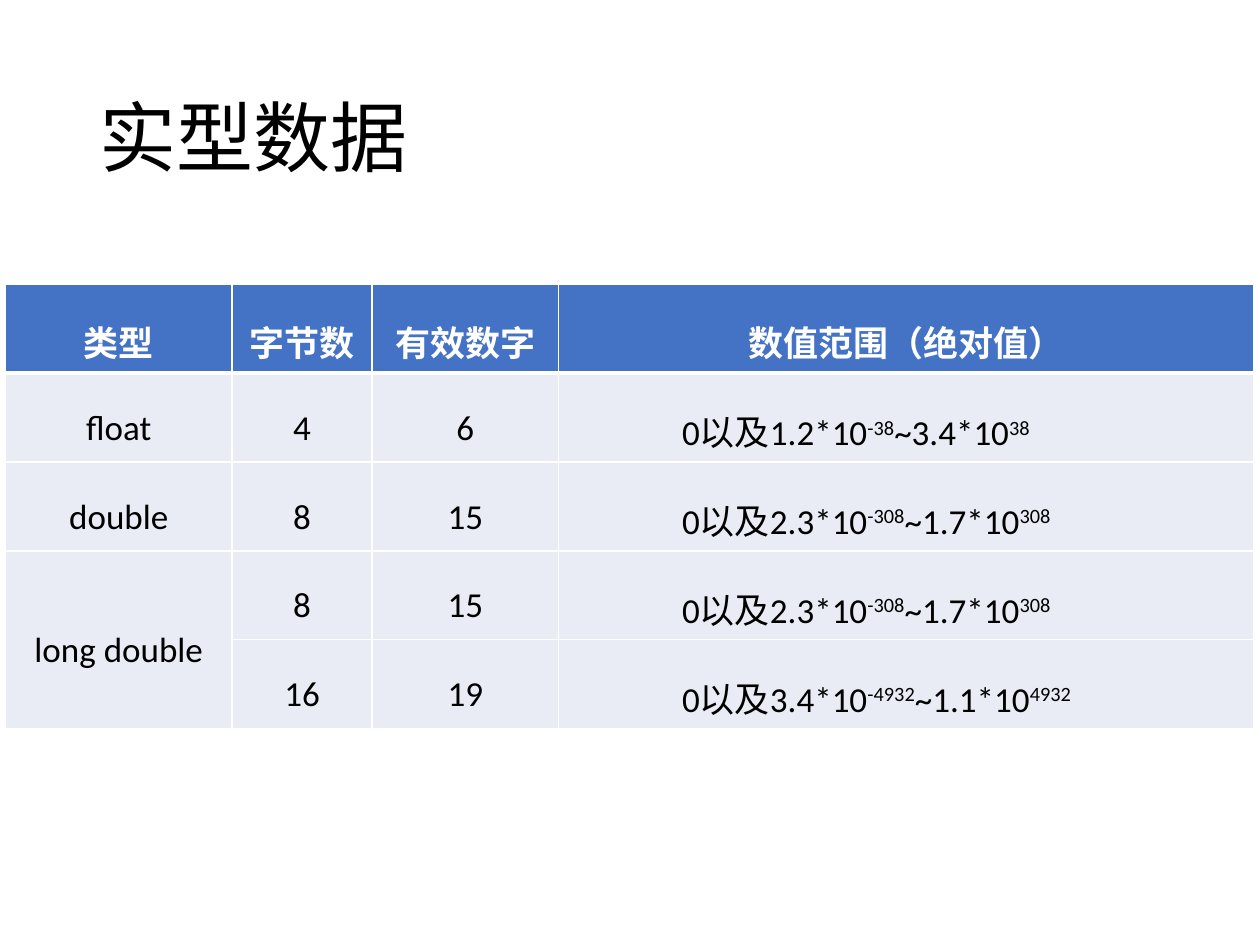
import dataclasses

import lxml.etree
import pptx
import pptx.dml.color
import pptx.enum.text
import pptx.oxml.ns
import pptx.util

Cm = pptx.util.Cm
Pt = pptx.util.Pt
RGB = pptx.dml.color.RGBColor.from_string
Align = pptx.enum.text.PP_ALIGN
Anchor = pptx.enum.text.MSO_ANCHOR
qn = pptx.oxml.ns.qn


@dataclasses.dataclass(frozen=True)
class Theme:
    font: str = "Calibri"
    ink: str = "000000"
    white: str = "FFFFFF"
    head: str = "4472C4"
    body: str = "E9EBF5"
    title: int = 44
    text: int = 20
    thin: int = 1
    thick: int = 3


THEME = Theme()
WIDTHS = (4.57, 2.82, 3.76, 14.02)
ROWS = (
    ("类型", "字节数", "有效数字", "数值范围（绝对值）"),
    ("float", "4", "6", "0以及1.2*10^-38^~3.4*10^38"),
    ("double", "8", "15", "0以及2.3*10^-308^~1.7*10^308"),
    ("long double", "8", "15", "0以及2.3*10^-308^~1.7*10^308"),
    ("", "16", "19", "0以及3.4*10^-4932^~1.1*10^4932"),
)


def style(font, size, color, bold=False):
    font.name = THEME.font
    font.size = Pt(size)
    font.bold = bold
    font.color.rgb = RGB(color)


def add_title(slide, text):
    title = slide.shapes.title
    title.left, title.top = Cm(1.75), Cm(1.01)
    title.width, title.height = Cm(21.9), Cm(3.68)
    frame = title.text_frame
    frame.text = text
    frame.auto_size = pptx.enum.text.MSO_AUTO_SIZE.NONE
    frame.vertical_anchor = Anchor.MIDDLE
    para = frame.paragraphs[0]
    para.alignment = Align.LEFT
    para.line_spacing = 0.9
    style(para.runs[0].font, THEME.title, THEME.ink)


def add_edge(cell, side, width):
    props = cell._tc.get_or_add_tcPr()
    line = lxml.etree.SubElement(props, qn(f"a:ln{side}"), w=str(Pt(width)))
    fill = lxml.etree.SubElement(line, qn("a:solidFill"))
    lxml.etree.SubElement(fill, qn("a:srgbClr"), val=THEME.white)


def write_cell(cell, text, head):
    para = cell.text_frame.paragraphs[0]
    para.alignment = Align.CENTER
    para.line_spacing = 1.5
    color = THEME.white if head else THEME.ink
    style(para.font, THEME.text, color, head)
    for index, part in enumerate(text.split("^")):
        if not part:
            continue
        run = para.add_run()
        run.text = part
        style(run.font, THEME.text, color, head)
        if index % 2:
            run._r.get_or_add_rPr().set("baseline", "30000")


def paint_cell(cell, row):
    for side in "LRTB":
        heavy = (row, side) in ((0, "B"), (1, "T"))
        add_edge(cell, side, THEME.thick if heavy else THEME.thin)
    cell.fill.solid()
    cell.fill.fore_color.rgb = RGB(THEME.body if row else THEME.head)
    cell.vertical_anchor = Anchor.MIDDLE


def add_grid(slide):
    high = Cm(1.04)
    frame = slide.shapes.add_table(
        len(ROWS), len(WIDTHS), Cm(0.11), Cm(5.73),
        Cm(sum(WIDTHS)), high * len(ROWS))
    table = frame.table
    for col, width in zip(table.columns, WIDTHS):
        col.width = Cm(width)
    for row, texts in enumerate(ROWS):
        table.rows[row].height = high
        for col, text in enumerate(texts):
            cell = table.cell(row, col)
            write_cell(cell, text, row == 0)
            paint_cell(cell, row)
            if row and col == len(WIDTHS) - 1:
                cell.margin_left = cell.margin_right = Cm(2.49)
                cell.text_frame.paragraphs[0].alignment = Align.JUSTIFY
    table.cell(3, 0).merge(table.cell(4, 0))


def main():
    deck = pptx.Presentation()
    deck.slide_width, deck.slide_height = Cm(25.4), Cm(19.05)
    slide = deck.slides.add_slide(deck.slide_layouts[5])
    add_title(slide, "实型数据")
    add_grid(slide)
    deck.save("out.pptx")


if __name__ == "__main__":
    main()
